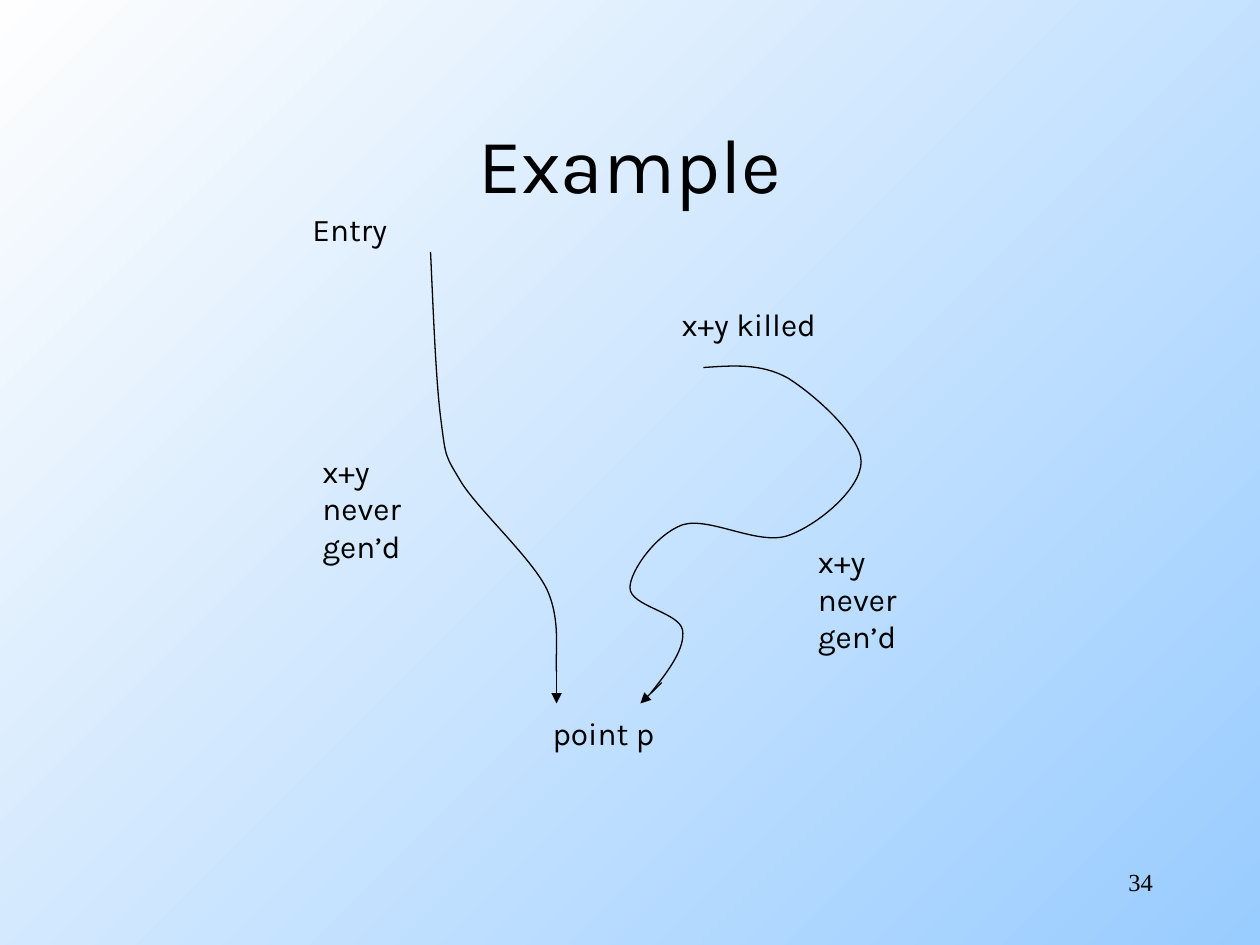
from dataclasses import dataclass

from lxml import etree
from pptx import Presentation
from pptx.dml.color import RGBColor
from pptx.enum import shapes, text
from pptx.oxml.ns import qn
from pptx.util import Cm, Pt


@dataclass(frozen=True)
class Theme:
    ink: str = "000000"
    deep: str = "99CCFF"
    pale: str = "FEFEFE"
    font: str = "Karla"
    serif: str = "Times New Roman"
    title: int = 44
    label: int = 18
    number: int = 14
    line: float = 0.75


def write(frame, words, font, size, color, align=text.PP_ALIGN.LEFT):
    """Fill a text frame, one paragraph for each line of words."""
    for i, line in enumerate(words.split("\n")):
        para = frame.paragraphs[0] if i == 0 else frame.add_paragraph()
        para.alignment = align
        run = para.add_run()
        run.text = line
        run.font.name = font
        run.font.size = Pt(size)
        run.font.color.rgb = RGBColor.from_string(color)


def bend(shape):
    """Turn each three straight segments into one cubic curve."""
    lines = list(shape._element.iter(qn("a:lnTo")))
    for i in range(0, len(lines), 3):
        cubic = etree.Element(qn("a:cubicBezTo"))
        lines[i].addprevious(cubic)
        for line in lines[i:i + 3]:
            cubic.append(line[0])
            line.getparent().remove(line)


class Sketch:
    def __init__(self, slide, theme):
        self.slide, self.theme = slide, theme

    def back(self):
        fill = self.slide.background.fill
        fill.gradient()
        fill.gradient_angle = 135
        colors = (self.theme.deep, self.theme.pale)
        for i, (stop, color) in enumerate(zip(fill.gradient_stops, colors)):
            stop.position = i
            stop.color.rgb = RGBColor.from_string(color)

    def box(self, words, place, size=None, font=None, wrap=False,
            anchor=text.MSO_ANCHOR.TOP, align=text.PP_ALIGN.LEFT):
        frame = self.slide.shapes.add_textbox(*map(Cm, place)).text_frame
        frame.word_wrap = wrap
        frame.vertical_anchor = anchor
        if not wrap:
            frame.auto_size = text.MSO_AUTO_SIZE.SHAPE_TO_FIT_TEXT
        write(frame, words, font or self.theme.font, size or self.theme.label,
              self.theme.ink, align)

    def ink(self, line):
        line.color.rgb = RGBColor.from_string(self.theme.ink)
        line.width = Pt(self.theme.line)

    def curve(self, points):
        """Draw a chain of cubic curves: a start, then three points for each."""
        start, *rest = [tuple(map(Cm, point)) for point in points]
        pen = self.slide.shapes.build_freeform(*start)
        pen.add_line_segments(rest, close=False)
        shape = pen.convert_to_shape()
        bend(shape)
        shape.shadow.inherit = False
        shape.fill.background()
        self.ink(shape.line)

    def arrow(self, start, end):
        link = self.slide.shapes.add_connector(
            shapes.MSO_CONNECTOR.STRAIGHT, *map(Cm, start + end))
        self.ink(link.line)
        etree.SubElement(link.line._get_or_add_ln(), qn("a:tailEnd"), type="triangle")
        etree.SubElement(link._element.spPr, qn("a:effectLst"))


def main():
    deck = Presentation()
    deck.slide_width, deck.slide_height = Cm(25.4), Cm(19.05)
    theme = Theme()
    sketch = Sketch(deck.slides.add_slide(deck.slide_layouts[6]), theme)
    sketch.back()

    sketch.box("Example", (1.9, 1.7, 21.6, 3.18), theme.title, wrap=True,
               anchor=text.MSO_ANCHOR.MIDDLE, align=text.PP_ALIGN.CENTER)

    never = "x+y\nnever\ngen’d"
    for words, place in (
        ("point p", (10.89, 14.27, 2.62, 1.02)),
        ("Entry", (6.05, 4.11, 2.06, 1.02)),
        ("x+y killed", (13.49, 6.02, 3.28, 1.02)),
        (never, (6.25, 8.98, 2.18, 2.54)),
        (never, (16.24, 10.8, 2.18, 2.54)),
    ):
        sketch.box(words, place)

    # From the entry down to point p
    sketch.curve([
        (8.68, 5.08),
        (8.74, 6.38), (8.79, 7.7), (8.89, 8.47),
        (8.99, 9.25), (8.97, 9.17), (9.31, 9.74),
        (9.68, 10.31), (10.69, 11.23), (11.01, 11.85),
        (11.33, 12.5), (11.18, 13.26), (11.22, 13.55),
    ])
    sketch.arrow((11.22, 13.55), (11.22, 14.18))

    # From the kill down to point p
    sketch.curve([
        (14.18, 7.41),
        (14.76, 7.37), (15.34, 7.32), (15.88, 7.62),
        (16.41, 7.95), (17.36, 8.79), (17.36, 9.31),
        (17.36, 9.86), (16.48, 10.59), (15.88, 10.8),
        (15.27, 11), (14.3, 10.41), (13.76, 10.58),
        (13.23, 10.77), (12.7, 11.51), (12.7, 11.85),
        (12.7, 12.22), (13.69, 12.34), (13.76, 12.7),
        (13.82, 13.06), (13.49, 13.51), (13.12, 13.97),
    ])
    sketch.arrow((13.34, 13.76), (12.91, 14.18))

    sketch.box("34", (18.21, 17.35, 5.28, 1.27), theme.number, theme.serif,
               wrap=True, align=text.PP_ALIGN.RIGHT)
    deck.save("out.pptx")


if __name__ == "__main__":
    main()
